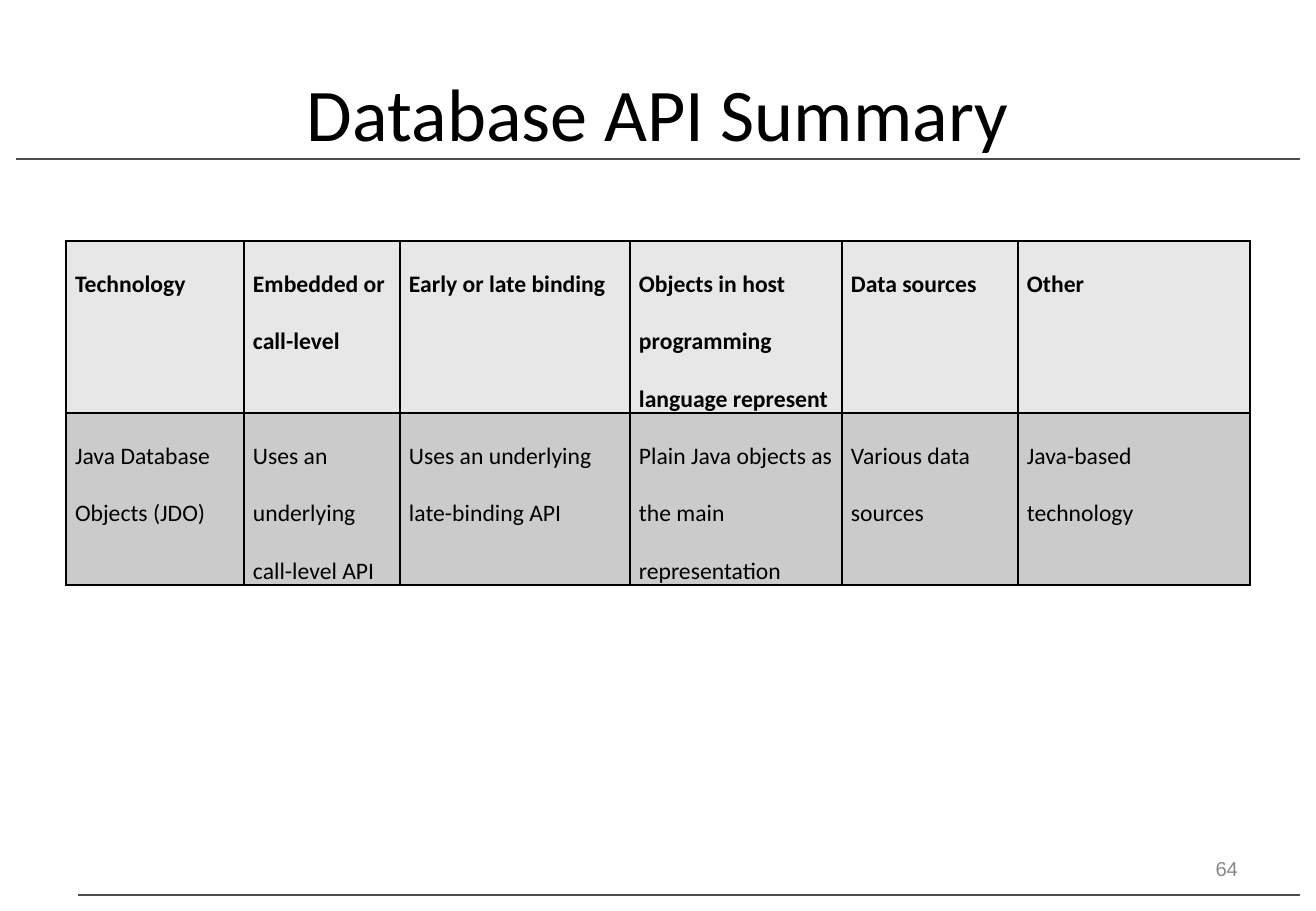
from lxml import etree
from pptx import Presentation
from pptx.dml.color import RGBColor
from pptx.enum.shapes import MSO_CONNECTOR
from pptx.enum.text import MSO_ANCHOR, PP_ALIGN
from pptx.oxml.ns import qn
from pptx.util import Pt

SCALE = 7526  # EMU per px
STRAIGHT = MSO_CONNECTOR.STRAIGHT
MIDDLE = MSO_ANCHOR.MIDDLE
CENTER, RIGHT = PP_ALIGN.CENTER, PP_ALIGN.RIGHT

BLACK = RGBColor(0x00, 0x00, 0x00)
RULE = RGBColor(0x4D, 0x4D, 0x4D)
GRAY = RGBColor(0x89, 0x89, 0x89)
HEAD = RGBColor(0xE7, 0xE7, 0xE7)
BODY = RGBColor(0xCB, 0xCB, 0xCB)

COLS = [178, 156, 230, 212, 176, 232]
ROW = 172
ROWS = [
    ["Technology", "Embedded or call-level", "Early or late binding",
     "Objects in host programming language represent", "Data sources", "Other"],
    ["Java Database Objects (JDO)", "Uses an underlying call-level API",
     "Uses an underlying late-binding API",
     "Plain Java objects as the main representation",
     "Various data sources", "Java-based technology"],
]


def px(n):
    return n * SCALE


class Page:
    def __init__(self, slide, font):
        self.slide = slide
        self.font = font

    def style(self, para, size, color=BLACK, bold=False, font=None):
        for run in para.runs:
            run.font.name = font or self.font
            run.font.size = Pt(size)
            run.font.bold = bold
            run.font.color.rgb = color

    def rule(self, x1, x2, y, width):
        line = self.slide.shapes.add_connector(
            STRAIGHT, px(x1), px(y), px(x2), px(y))
        line.line.color.rgb = RULE
        line.line.width = Pt(width)
        etree.SubElement(line._element.spPr, qn("a:effectLst"))

    def text(self, box, text, size, align, color=BLACK, font=None):
        frame = self.slide.shapes.add_textbox(*map(px, box)).text_frame
        frame.word_wrap = True
        frame.vertical_anchor = MIDDLE
        frame.text = text
        para = frame.paragraphs[0]
        para.alignment = align
        self.style(para, size, color, font=font)

    def border(self, cell):
        props = cell._tc.get_or_add_tcPr()
        for side in ("a:lnL", "a:lnR", "a:lnT", "a:lnB"):
            edge = etree.SubElement(props, qn(side), w=str(Pt(1)))
            fill = etree.SubElement(edge, qn("a:solidFill"))
            etree.SubElement(fill, qn("a:srgbClr"), val=str(BLACK))

    def cell(self, cell, text, fill, bold):
        self.border(cell)
        cell.fill.solid()
        cell.fill.fore_color.rgb = fill
        cell.margin_left = cell.margin_right = px(9)
        cell.margin_top = cell.margin_bottom = 0
        cell.text_frame.text = text
        para = cell.text_frame.paragraphs[0]
        para.line_spacing = 2.0
        self.style(para, 14, bold=bold)

    def table(self, x, y, cols, high, rows):
        table = self.slide.shapes.add_table(
            len(rows), len(cols), px(x), px(y),
            px(sum(cols)), px(high * len(rows))).table
        table.horz_banding = False
        for col, wide in zip(table.columns, cols):
            col.width = px(wide)
        for r, row in enumerate(rows):
            table.rows[r].height = px(high)
            for c, text in enumerate(row):
                self.cell(table.cell(r, c), text, BODY if r else HEAD, r == 0)


def main():
    deck = Presentation()
    deck.slide_width, deck.slide_height = px(1316), px(911)
    page = Page(deck.slides.add_slide(deck.slide_layouts[6]), "Calibri")

    # Header and footer rules
    page.rule(16, 1300, 159, 1)
    page.rule(78, 1300, 895, 0.75)

    # Title and page number
    page.text((66, 36, 1184, 152), "Database API Summary", 44, CENTER)
    page.text((943, 844, 307, 49), "64", 12, RIGHT, GRAY, "Arial")

    # Summary table
    page.table(66, 241, COLS, ROW, ROWS)

    deck.save("out.pptx")


if __name__ == "__main__":
    main()
